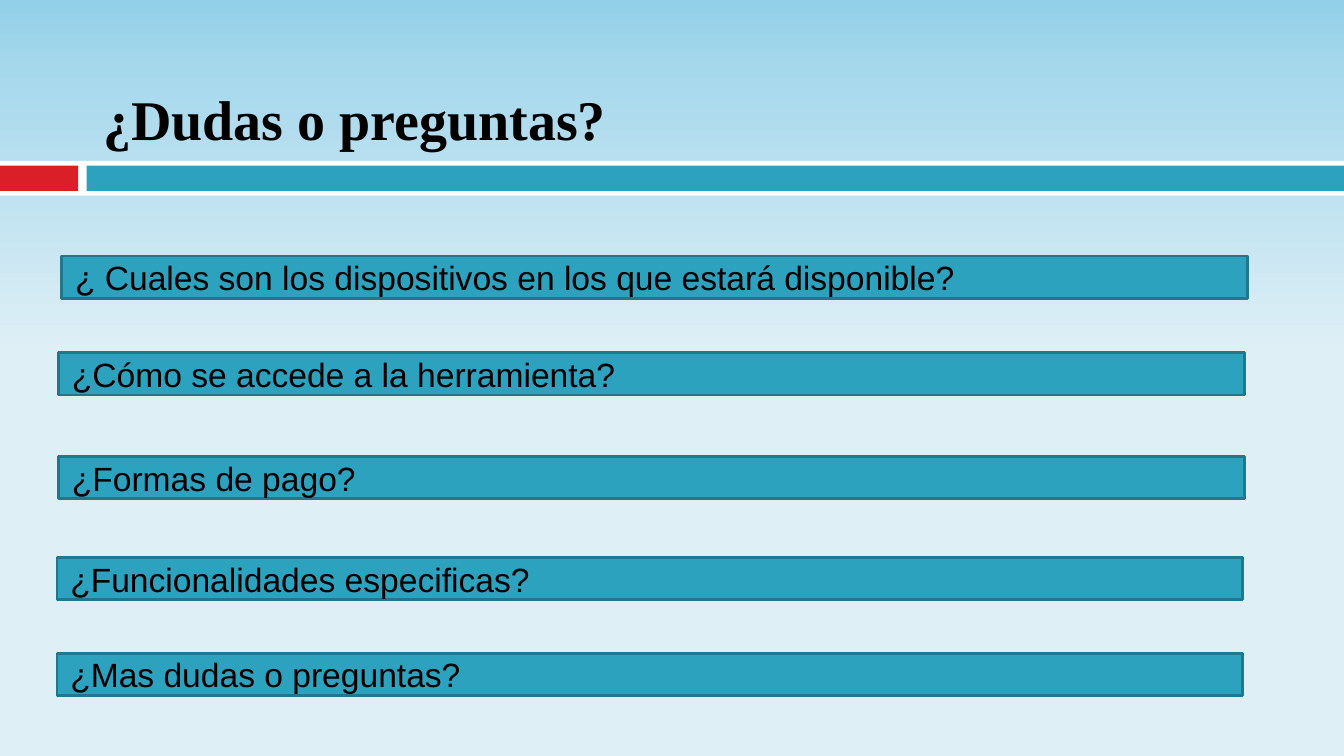
from copy import deepcopy

from lxml import etree
from pptx import Presentation
from pptx.dml.color import RGBColor
from pptx.enum.shapes import MSO_SHAPE
from pptx.enum.text import MSO_ANCHOR, PP_ALIGN
from pptx.oxml.ns import qn
from pptx.util import Cm, Pt

# Content: lengths in centimetres
COLORS = {"teal": "2DA2BF", "teal_edge": "21788D", "red": "DA1F28",
          "white": "FFFFFF", "black": "000000"}
SKY_STOPS = [(0, "92CFE8"), (9, "A6D8EC"), (47, "DFEFF6")]
SLIDE_WIDTH, SLIDE_HEIGHT = 25.4, 14.29

TITLE = "¿Dudas o preguntas?"
TITLE_BOX = (1.7, 0.94, 21.16, 2.06)
TITLE_FORMAT = {"name": "Times New Roman", "size": Pt(30), "bold": True}

BAND_TOP, BAND_HEIGHT, BAND_MARGIN = 3.04, 0.66, 0.09
RED_WIDTH, TEAL_LEFT = 1.48, 1.64

QUESTIONS = [  # left, top, text
    (1.17, 4.84, "¿ Cuales son los dispositivos en los que estará disponible?"),
    (1.11, 6.67, "¿Cómo se accede a la herramienta?"),
    (1.11, 8.63, "¿Formas de pago?"),
    (1.08, 10.54, "¿Funcionalidades especificas?"),
    (1.08, 12.35, "¿Mas dudas o preguntas?"),
]
QUESTION_WIDTH, QUESTION_HEIGHT = 22.41, 0.8
QUESTION_FORMAT = {"name": "Arial", "size": Pt(18), "bold": False}


def color(name):
    return RGBColor.from_string(COLORS[name])


def write(shape, text, font_format, anchor):
    frame = shape.text_frame
    frame.word_wrap = True
    frame.vertical_anchor = anchor
    paragraph = frame.paragraphs[0]
    paragraph.alignment = PP_ALIGN.LEFT
    run = paragraph.add_run()
    run.text = text
    run.font.color.rgb = color("black")
    for attribute, value in font_format.items():
        setattr(run.font, attribute, value)


def add_bar(box, fill, edge=None):
    shape = slide.shapes.add_shape(MSO_SHAPE.RECTANGLE, *map(Cm, box))
    shape.shadow.inherit = False
    shape.fill.solid()
    shape.fill.fore_color.rgb = color(fill)
    if edge:
        shape.line.color.rgb = color(edge)
        shape.line.width = Pt(1.5)
    else:
        shape.line.fill.background()
    return shape


presentation = Presentation()
presentation.slide_width = Cm(SLIDE_WIDTH)
presentation.slide_height = Cm(SLIDE_HEIGHT)
slide = presentation.slides.add_slide(presentation.slide_layouts[6])

# Sky gradient, from top to bottom
background = slide.background.fill
background.gradient()
background.gradient_angle = 270
stop_list = next(slide.element.iter(qn("a:gsLst")))
stop_list.append(deepcopy(stop_list[-1]))
for stop, (position, value) in zip(stop_list, SKY_STOPS):
    stop.set("pos", str(position * 1000))
    for child in list(stop):
        stop.remove(child)
    etree.SubElement(stop, qn("a:srgbClr")).set("val", value)

# Band under the title
stripe_top = BAND_TOP + BAND_MARGIN
stripe_height = BAND_HEIGHT - 2 * BAND_MARGIN
add_bar((0, BAND_TOP, SLIDE_WIDTH, BAND_HEIGHT), "white")
add_bar((0, stripe_top, RED_WIDTH, stripe_height), "red")
add_bar((TEAL_LEFT, stripe_top, SLIDE_WIDTH - TEAL_LEFT, stripe_height), "teal")

# Title
title = slide.shapes.add_textbox(*map(Cm, TITLE_BOX))
write(title, TITLE, TITLE_FORMAT, MSO_ANCHOR.BOTTOM)

# Question bars
for left, top, text in QUESTIONS:
    bar = add_bar((left, top, QUESTION_WIDTH, QUESTION_HEIGHT), "teal", "teal_edge")
    write(bar, text, QUESTION_FORMAT, MSO_ANCHOR.MIDDLE)

presentation.save("out.pptx")
